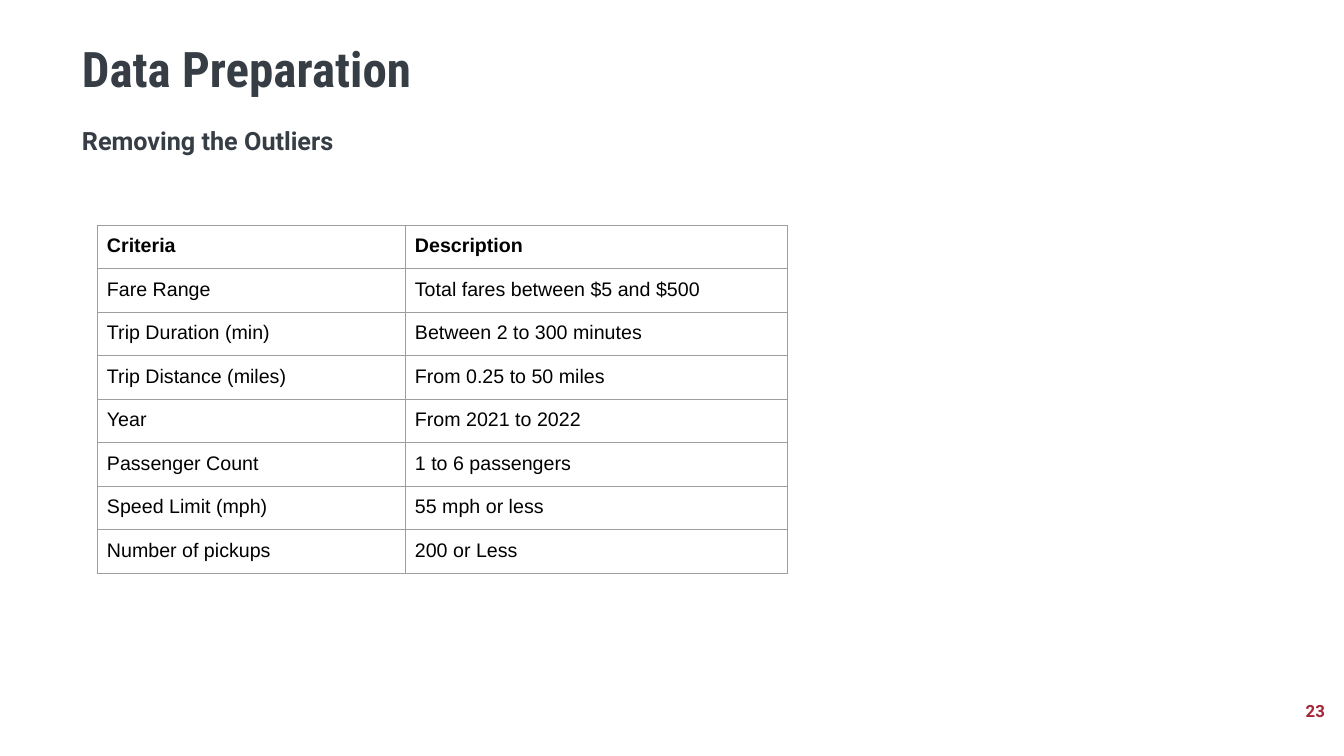
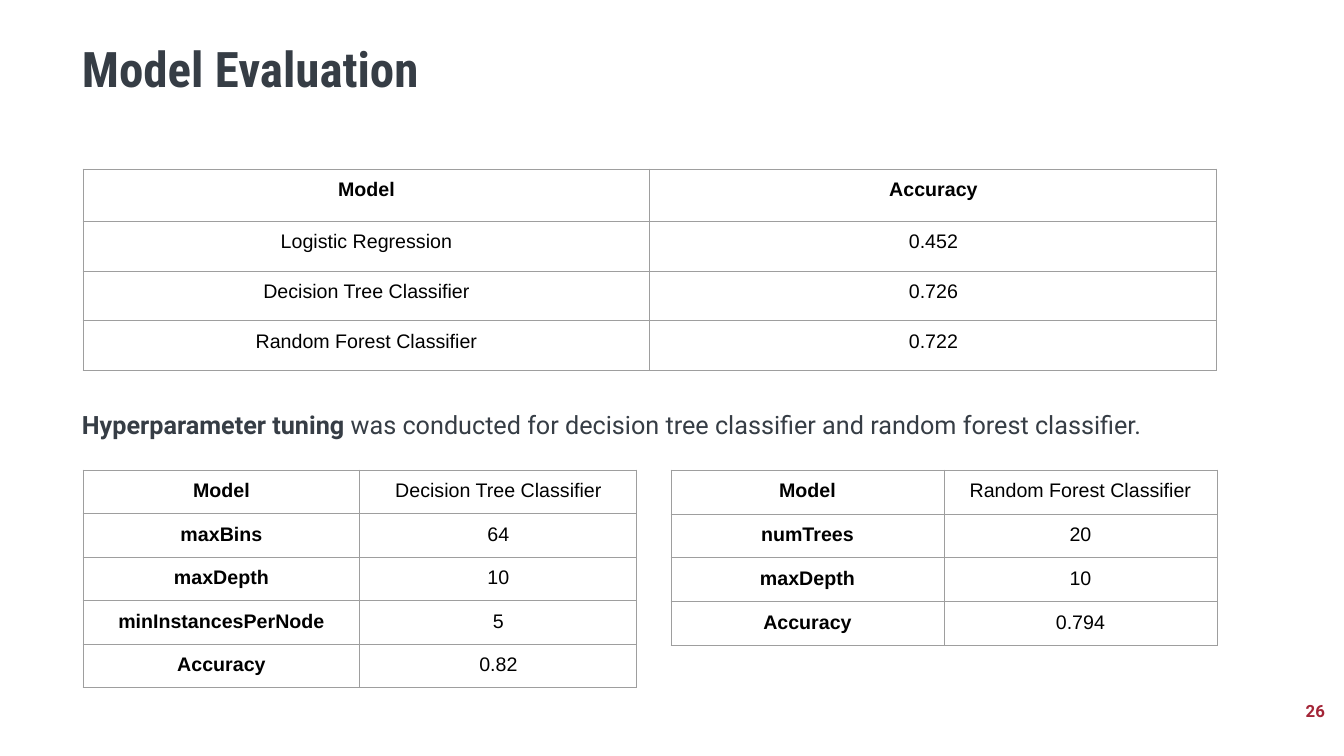
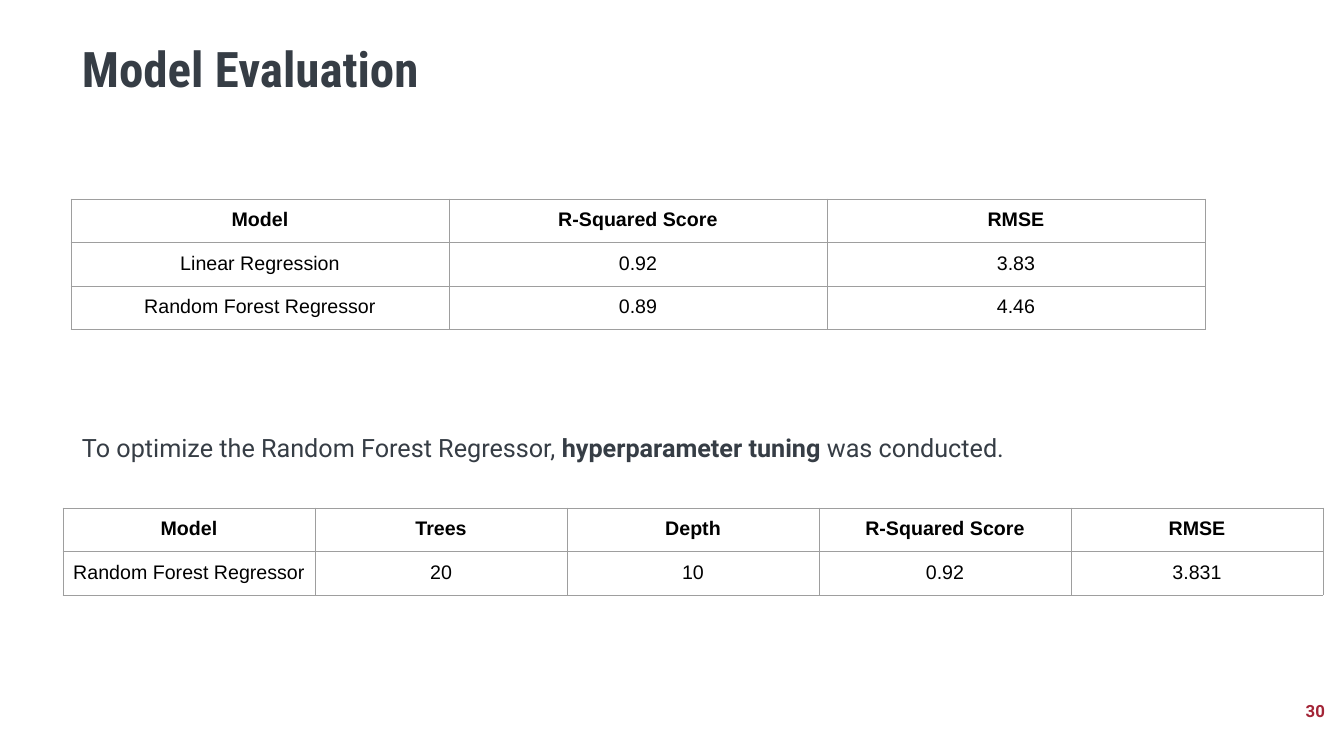
import pptx
import pptx.util
import pptx.dml.color
import pptx.enum.text
import pptx.oxml
import pptx.oxml.ns

# Shared style
DARK = pptx.dml.color.RGBColor(0x36, 0x3D, 0x45)
RED = pptx.dml.color.RGBColor(0xA3, 0x25, 0x37)
BLACK = pptx.dml.color.RGBColor(0x00, 0x00, 0x00)
BORDER = pptx.dml.color.RGBColor(0x9E, 0x9E, 0x9E)
TITLE_FONT, BODY_FONT, TABLE_FONT = "Roboto Condensed", "Roboto", "Arial"
LEFT = pptx.enum.text.PP_ALIGN.LEFT
CENTER = pptx.enum.text.PP_ALIGN.CENTER
RIGHT = pptx.enum.text.PP_ALIGN.RIGHT
TOP = pptx.enum.text.MSO_ANCHOR.TOP
MIDDLE = pptx.enum.text.MSO_ANCHOR.MIDDLE

EMU_PER_PX = 914400 / 100.8
SLIDE_SIZE = (1344, 756)
TITLE_BOX = (72, 40, 1180, 84)
NUMBER_BOX = (1033, 691, 302, 40)
INSET = 10
BORDER_WIDTH = 0.75

# Content: statements are (box, line spacing, [(text, bold), ...])
SLIDES = [
    {
        "title": "Data Preparation",
        "number": "23",
        "statement": ((72, 115, 567, 62), 1, [("Removing the Outliers", True)]),
        "tables": [
            {
                "at": (97, 225), "columns": [308, 383], "row_heights": [42] * 8,
                "bold": "row", "align": LEFT,
                "rows": [
                    ("Criteria", "Description"),
                    ("Fare Range", "Total fares between $5 and $500"),
                    ("Trip Duration (min)", "Between 2 to 300 minutes"),
                    ("Trip Distance (miles)", "From 0.25 to 50 miles"),
                    ("Year", "From 2021 to 2022"),
                    ("Passenger Count", "1 to 6 passengers"),
                    ("Speed Limit (mph)", "55 mph or less"),
                    ("Number of pickups", "200 or Less"),
                ],
            },
        ],
    },
    {
        "title": "Model Evaluation",
        "number": "26",
        "statement": ((72, 395, 1260, 51), 1.15, [
            ("Hyperparameter tuning", True),
            (" was conducted for decision tree classifier and random forest classifier.", False),
        ]),
        "tables": [
            {
                "at": (83, 169), "columns": [567] * 2, "row_heights": [52, 50, 50, 50],
                "bold": "row", "align": CENTER,
                "rows": [
                    ("Model", "Accuracy"),
                    ("Logistic Regression", "0.452"),
                    ("Decision Tree Classifier", "0.726"),
                    ("Random Forest Classifier", "0.722"),
                ],
            },
            {
                "at": (83, 470), "columns": [277] * 2, "row_heights": [42] * 5,
                "bold": "column", "align": CENTER,
                "rows": [
                    ("Model", "Decision Tree Classifier"),
                    ("maxBins", "64"),
                    ("maxDepth", "10"),
                    ("minInstancesPerNode", "5"),
                    ("Accuracy", "0.82"),
                ],
            },
            {
                "at": (671, 470), "columns": [273] * 2, "row_heights": [44] * 4,
                "bold": "column", "align": CENTER,
                "rows": [
                    ("Model", "Random Forest Classifier"),
                    ("numTrees", "20"),
                    ("maxDepth", "10"),
                    ("Accuracy", "0.794"),
                ],
            },
        ],
    },
    {
        "title": "Model Evaluation",
        "number": "30",
        "statement": ((72, 418, 989, 51), 1.15, [
            ("To optimize the Random Forest Regressor, ", False),
            ("hyperparameter tuning", True),
            (" was conducted.", False),
        ]),
        "tables": [
            {
                "at": (71, 199), "columns": [378] * 3, "row_heights": [42] * 3,
                "bold": "row", "align": CENTER,
                "rows": [
                    ("Model", "R-Squared Score", "RMSE"),
                    ("Linear Regression", "0.92", "3.83"),
                    ("Random Forest Regressor", "0.89", "4.46"),
                ],
            },
            {
                "at": (63, 508), "columns": [252] * 5, "row_heights": [42] * 2,
                "bold": "row", "align": CENTER,
                "rows": [
                    ("Model", "Trees", "Depth", "R-Squared Score", "RMSE"),
                    ("Random Forest Regressor", "20", "10", "0.92", "3.831"),
                ],
            },
        ],
    },
]


def px(length):
    return pptx.util.Emu(round(length * EMU_PER_PX))


def set_insets(target, horizontal, vertical):
    target.margin_left = target.margin_right = px(horizontal)
    target.margin_top = target.margin_bottom = px(vertical)


def write_text(text_frame, runs, *, font, size, color, align=LEFT, spacing=1):
    """Fill the first paragraph with (text, bold) runs."""
    paragraph = text_frame.paragraphs[0]
    paragraph.alignment = align
    paragraph.line_spacing = spacing
    for text, bold in runs:
        run = paragraph.add_run()
        run.text = text
        run.font.name = font
        run.font.size = pptx.util.Pt(size)
        run.font.bold = bold
        run.font.color.rgb = color


def add_text_box(slide, box, runs, *, inset=INSET, anchor=TOP, **text_format):
    text_frame = slide.shapes.add_textbox(*map(px, box)).text_frame
    text_frame.word_wrap = True
    text_frame.vertical_anchor = anchor
    set_insets(text_frame, INSET, inset)
    write_text(text_frame, runs, **text_format)


def add_borders(cell):
    properties = cell._tc.get_or_add_tcPr()
    for side in ("lnL", "lnR", "lnT", "lnB"):
        properties.append(pptx.oxml.parse_xml(
            f'<a:{side} {pptx.oxml.ns.nsdecls("a")} w="{pptx.util.Pt(BORDER_WIDTH)}">'
            f'<a:solidFill><a:srgbClr val="{BORDER}"/></a:solidFill></a:{side}>'))


def add_grid(slide, grid):
    columns, heights, rows = grid["columns"], grid["row_heights"], grid["rows"]
    box = (*grid["at"], sum(columns), sum(heights))
    table = slide.shapes.add_table(len(rows), len(columns), *map(px, box)).table
    table.first_row = table.horz_banding = False
    for column, width in zip(table.columns, columns):
        column.width = px(width)
    for row, height in zip(table.rows, heights):
        row.height = px(height)
    for row_index, row in enumerate(rows):
        for column_index, text in enumerate(row):
            cell = table.cell(row_index, column_index)
            set_insets(cell, INSET, INSET)
            add_borders(cell)
            cell.fill.background()
            bold = (row_index if grid["bold"] == "row" else column_index) == 0
            write_text(cell.text_frame, [(text, bold)], font=TABLE_FONT, size=14,
                       color=BLACK, align=grid["align"])


def build_slide(presentation, content):
    slide = presentation.slides.add_slide(presentation.slide_layouts[6])
    # Title and page number
    add_text_box(slide, TITLE_BOX, [(content["title"], True)], inset=INSET // 2,
                 font=TITLE_FONT, size=35, color=DARK, spacing=0.9)
    add_text_box(slide, NUMBER_BOX, [(content["number"], True)], inset=INSET // 2,
                 anchor=MIDDLE, font=BODY_FONT, size=12, color=RED, align=RIGHT)
    # Statement and tables
    box, spacing, runs = content["statement"]
    add_text_box(slide, box, runs, font=BODY_FONT, size=18, color=DARK, spacing=spacing)
    for grid in content["tables"]:
        add_grid(slide, grid)


def main():
    presentation = pptx.Presentation()
    presentation.slide_width, presentation.slide_height = map(px, SLIDE_SIZE)
    for content in SLIDES:
        build_slide(presentation, content)
    presentation.save("out.pptx")


if __name__ == "__main__":
    main()
